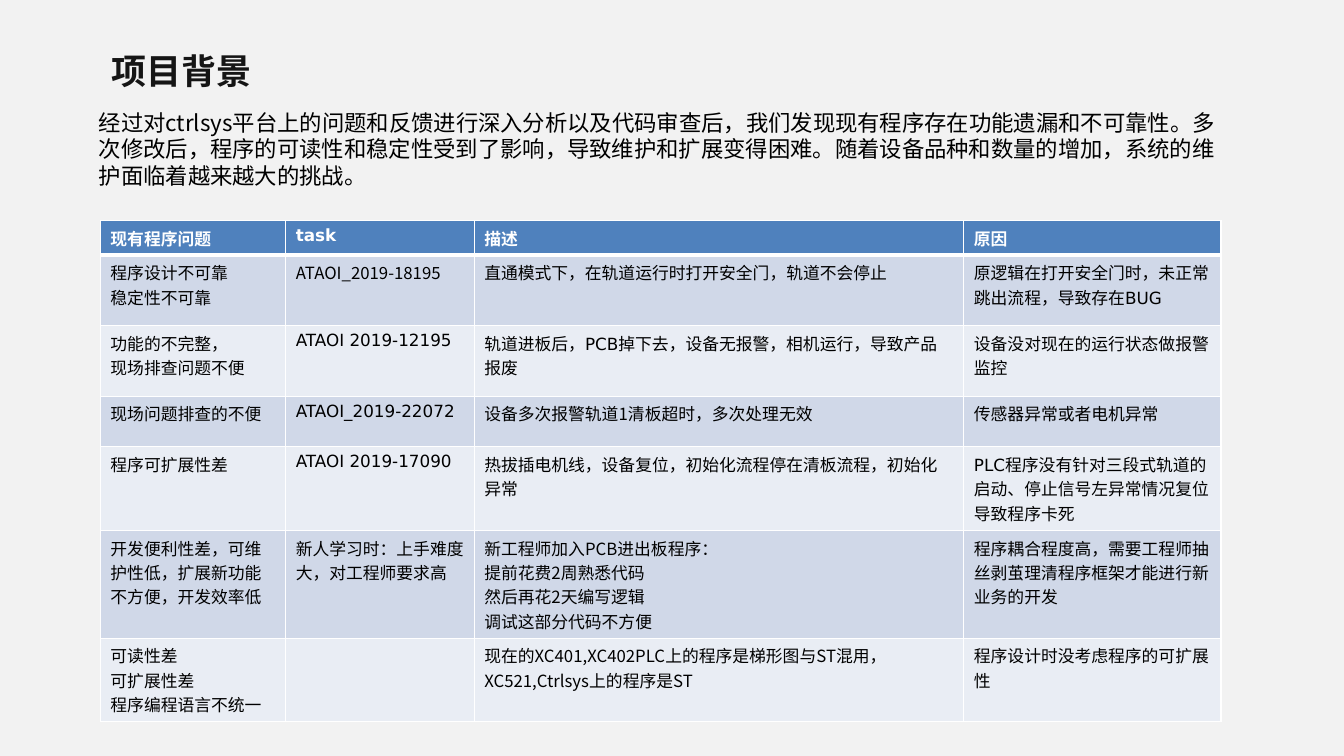
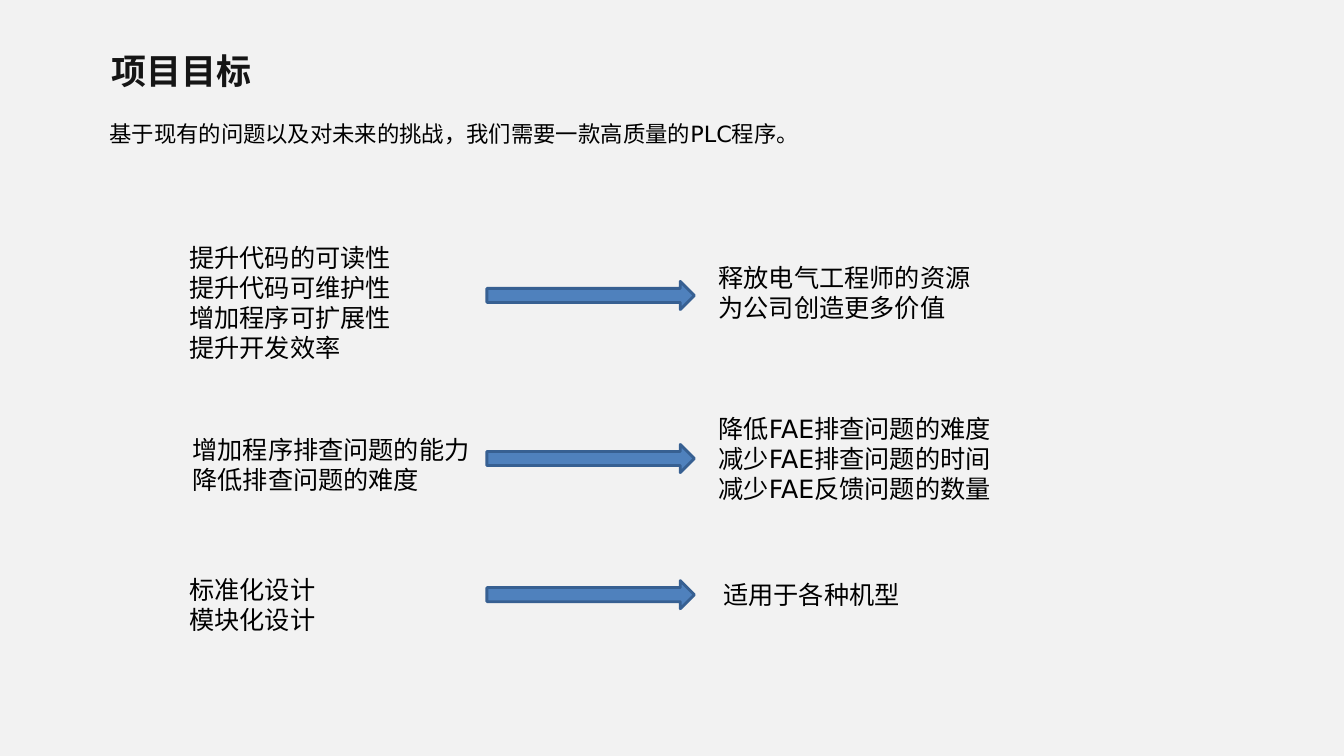
from lxml import etree
from pptx import Presentation
from pptx.dml.color import RGBColor
from pptx.enum.shapes import MSO_SHAPE as SHAPE
from pptx.enum.text import MSO_ANCHOR as ANCHOR
from pptx.oxml.ns import qn
from pptx.util import Cm, Pt

COLORS = {
    "background": "F2F2F2", "title": "151515", "text": "000000",
    "white": "FFFFFF", "accent": "4F81BD", "outline": "376092",
    "odd_row": "D0D8E8", "even_row": "E9EDF4",
}
SANS = "DejaVu Sans"
CJK = "Noto Sans CJK SC"
LINE_RATIO = 1.19

COL_WIDTHS = (4.67, 4.75, 12.34, 6.48)
ROW_HEIGHTS = (0.87, 1.78, 1.78, 1.27, 2.11, 2.71, 2.11)
CJK_CELLS = {(1, 1), (3, 2), (5, 2), (6, 2)}
TITLE_BOX = (2.57, 0.94, 13.87, 1.68)
INTRO_BOX = (2.24, 2.62, 28.83, 2.26)
TABLE_BOX = (2.53, 5.56, sum(COL_WIDTHS), sum(ROW_HEIGHTS))
STATEMENT_BOX = (2.51, 2.92, 28.37, 1.12)

INTRO = (
    "经过对ctrlsys平台上的问题和反馈进行深入分析以及代码审查后，我们发现现有程序存在功能遗漏和不可靠性。"
    "多次修改后，程序的可读性和稳定性受到了影响，导致维护和扩展变得困难。"
    "随着设备品种和数量的增加，系统的维护面临着越来越大的挑战。"
)
ISSUES = [
    ("现有程序问题", "task", "描述", "原因"),
    ("程序设计不可靠\n稳定性不可靠", "ATAOI_2019-18195",
     "直通模式下，在轨道运行时打开安全门，轨道不会停止",
     "原逻辑在打开安全门时，未正常跳出流程，导致存在BUG"),
    ("功能的不完整，\n现场排查问题不便", "ATAOI 2019-12195",
     "轨道进板后，PCB掉下去，设备无报警，相机运行，导致产品报废",
     "设备没对现在的运行状态做报警监控"),
    ("现场问题排查的不便", "ATAOI_2019-22072",
     "设备多次报警轨道1清板超时，多次处理无效",
     "传感器异常或者电机异常"),
    ("程序可扩展性差", "ATAOI 2019-17090",
     "热拔插电机线，设备复位，初始化流程停在清板流程，初始化异常",
     "PLC程序没有针对三段式轨道的启动、停止信号左异常情况复位导致程序卡死"),
    ("开发便利性差，可维护性低，扩展新功能不方便，开发效率低",
     "新人学习时：上手难度大，对工程师要求高",
     "新工程师加入PCB进出板程序：\n提前花费2周熟悉代码\n然后再花2天编写逻辑\n调试这部分代码不方便",
     "程序耦合程度高，需要工程师抽丝剥茧理清程序框架才能进行新业务的开发"),
    ("可读性差\n可扩展性差\n程序编程语言不统一", "",
     "现在的XC401,XC402PLC上的程序是梯形图与ST混用，XC521,Ctrlsys上的程序是ST",
     "程序设计时没考虑程序的可扩展性"),
]
# Row corner, then aims, arrow and gains placed relative to that corner
GOALS = [
    ((4.52, 5.99),
     (0, 0, 6.15, 3.4), "提升代码的可读性\n提升代码可维护性\n增加程序可扩展性\n提升开发效率",
     1.1,
     (13.34, 0.49, 8.31, 1.9), "释放电气工程师的资源\n为公司创造更多价值"),
    ((4.52, 10.29),
     (0.08, 0.53, 7.95, 1.8), "增加程序排查问题的能力\n降低排查问题的难度",
     0.91,
     (13.34, 0, 7.72, 2.57), "降低FAE排查问题的难度\n减少FAE排查问题的时间\n减少FAE反馈问题的数量"),
    ((4.52, 14.35),
     (0, 0, 4.8, 1.8), "标准化设计\n模块化设计",
     0.28,
     (13.46, 0.13, 5.16, 1.02), "适用于各种机型"),
]


def rgb(name):
    return RGBColor.from_string(COLORS[name])


def cm_box(box):
    return [Cm(v) for v in box]


def style_text(tf, size, color, font=SANS, bold=False):
    for p in tf.paragraphs:
        for r in p.runs:
            r.font.size = Pt(size)
            r.font.bold = bold
            r.font.color.rgb = rgb(color)
            r.font.name = font
            latin = r.font._element.find(qn("a:latin"))
            ea = etree.Element(qn("a:ea"), typeface=CJK)
            latin.addnext(ea)


def add_text(slide, box, text, size, font=SANS):
    tf = slide.shapes.add_textbox(*cm_box(box)).text_frame
    tf.word_wrap = True
    tf.text = text
    for p in tf.paragraphs:
        p.line_spacing = Pt(size * LINE_RATIO)
    style_text(tf, size, "text", font)


def add_slide(prs, title):
    slide = prs.slides.add_slide(prs.slide_layouts[6])
    fill = slide.background.fill
    fill.solid()
    fill.fore_color.rgb = rgb("background")
    tf = slide.shapes.add_textbox(*cm_box(TITLE_BOX)).text_frame
    tf.word_wrap = True
    tf.vertical_anchor = ANCHOR.MIDDLE
    tf.text = title
    style_text(tf, 25, "title", "Arial", True)
    return slide


def set_borders(cell, widths):
    """Draw white borders; widths are points for left, right, top, bottom."""
    tc_pr = cell._tc.get_or_add_tcPr()
    for i, (side, width) in enumerate(zip("LRTB", widths)):
        ln = etree.Element(qn(f"a:ln{side}"), w=str(Pt(width)))
        fill = etree.SubElement(ln, qn("a:solidFill"))
        etree.SubElement(fill, qn("a:srgbClr"), val=COLORS["white"])
        tc_pr.insert(i, ln)


def add_issue_table(slide, box):
    table = slide.shapes.add_table(len(ISSUES), len(COL_WIDTHS), *cm_box(box)).table
    for col, width in zip(table.columns, COL_WIDTHS):
        col.width = Cm(width)
    for i, (row, height) in enumerate(zip(table.rows, ROW_HEIGHTS)):
        row.height = Cm(height)
        header = i == 0
        fill = "accent" if header else "odd_row" if i % 2 else "even_row"
        for j, text in enumerate(ISSUES[i]):
            cell = table.cell(i, j)
            cell.fill.solid()
            cell.fill.fore_color.rgb = rgb(fill)
            set_borders(cell, (1, 1, 3 if i == 1 else 1, 3 if header else 1))
            cell.text_frame.text = text
            style_text(cell.text_frame, 12, "white" if header else "text",
                       CJK if (i, j) in CJK_CELLS else SANS, header)


def add_arrow(slide, box):
    sp = slide.shapes.add_shape(SHAPE.RIGHT_ARROW, *cm_box(box))
    sp.shadow.inherit = False
    sp.fill.solid()
    sp.fill.fore_color.rgb = rgb("accent")
    sp.line.color.rgb = rgb("outline")
    sp.line.width = Pt(2)


def add_goal(slide, origin, aims_box, aims, arrow_top, gains_box, gains):
    x, y = origin
    for (dx, dy, w, h), text in ((aims_box, aims), (gains_box, gains)):
        add_text(slide, (x + dx, y + dy, w, h), text, 18)
    add_arrow(slide, (x + 7.75, y + arrow_top, 5.23, 0.71))


def background_slide(prs):
    slide = add_slide(prs, "项目背景")
    add_issue_table(slide, TABLE_BOX)
    add_text(slide, INTRO_BOX, INTRO, 16, CJK)


def goals_slide(prs):
    slide = add_slide(prs, "项目目标")
    add_text(slide, STATEMENT_BOX,
             "基于现有的问题以及对未来的挑战，我们需要一款高质量的PLC程序。", 16)
    for goal in GOALS:
        add_goal(slide, *goal)


def main():
    prs = Presentation()
    prs.slide_width, prs.slide_height = Cm(33.87), Cm(19.05)
    background_slide(prs)
    goals_slide(prs)
    prs.save("out.pptx")


if __name__ == "__main__":
    main()
